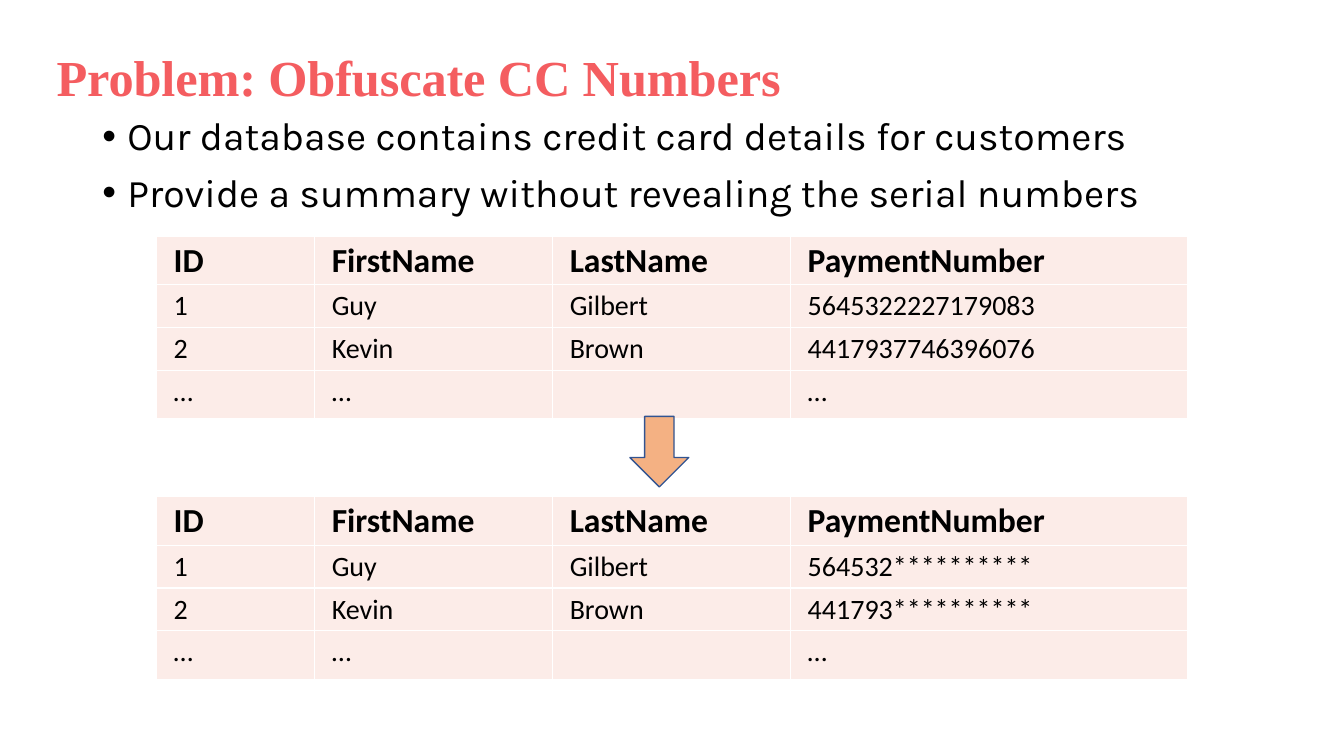
from dataclasses import dataclass

from lxml.etree import SubElement
from pptx import Presentation
from pptx.dml.color import RGBColor as Color
from pptx.enum.shapes import MSO_SHAPE as Preset
from pptx.enum.text import MSO_ANCHOR as Anchor
from pptx.oxml.ns import qn
from pptx.util import Pt


@dataclass(frozen=True)
class Theme:
    title_font: str = "Times New Roman"
    body_font: str = "Karla"
    table_font: str = "Calibri"
    title_size: int = 36
    body_size: int = 28
    header_size: int = 24
    cell_size: int = 20
    title_color: str = "F45D60"
    text_color: str = "000000"
    cell_fill: str = "FCECE8"
    border: str = "FFFFFF"
    arrow_fill: str = "F4B183"
    arrow_line: str = "325491"


class SlideBuilder:
    def __init__(self, page, theme):
        self.page = page
        self.theme = theme

    def add_span(self, para, text, font, size, color, bold=False):
        span = para.add_run()
        span.text = text
        span.font.name = font
        span.font.size = Pt(size)
        span.font.bold = bold
        span.font.color.rgb = Color.from_string(color)
        return span

    def text_box(self, left, top, width, height):
        box = self.page.shapes.add_textbox(Pt(left), Pt(top), Pt(width), Pt(height))
        box.text_frame.word_wrap = True
        return box.text_frame

    def title(self, text, *place):
        theme = self.theme
        frame = self.text_box(*place)
        frame.vertical_anchor = Anchor.BOTTOM
        span = self.add_span(frame.paragraphs[0], text, theme.title_font,
                             theme.title_size, theme.title_color, bold=True)
        span.font._element.set("spc", "-10")

    def bullets(self, lines, *place):
        theme = self.theme
        frame = self.text_box(*place)
        for index, line in enumerate(lines):
            para = frame.add_paragraph() if index else frame.paragraphs[0]
            para.line_spacing = 0.9
            para.space_before = Pt(10)
            properties = para._p.get_or_add_pPr()
            properties.set("marL", str(Pt(18)))
            properties.set("indent", str(Pt(-18)))
            SubElement(properties, qn("a:buFont"), typeface="Arial")
            SubElement(properties, qn("a:buChar"), char="•")
            self.add_span(para, line, theme.body_font, theme.body_size, theme.text_color)

    def table(self, rows, left, top, widths, heights):
        frame = self.page.shapes.add_table(
            len(rows), len(widths), Pt(left), Pt(top), Pt(sum(widths)), Pt(sum(heights)))
        table = frame.table
        table.first_row = table.horz_banding = False
        for column, width in zip(table.columns, widths):
            column.width = Pt(width)
        for row, height in zip(table.rows, heights):
            row.height = Pt(height)
        for row_index, values in enumerate(rows):
            for column_index, value in enumerate(values):
                self.fill_cell(table.cell(row_index, column_index), value, row_index == 0)

    def fill_cell(self, cell, value, header):
        theme = self.theme
        cell.margin_left = cell.margin_right = Pt(12.2)
        cell.margin_top = cell.margin_bottom = Pt(3.6)
        # Cell borders come before the fill in the XML
        properties = cell._tc.get_or_add_tcPr()
        for side in ("a:lnL", "a:lnR", "a:lnT", "a:lnB"):
            line = SubElement(properties, qn(side), w=str(Pt(1)))
            paint = SubElement(line, qn("a:solidFill"))
            SubElement(paint, qn("a:srgbClr"), val=theme.border)
        cell.fill.solid()
        cell.fill.fore_color.rgb = Color.from_string(theme.cell_fill)
        para = cell.text_frame.paragraphs[0]
        para.line_spacing = 0.95
        if value:
            size = theme.header_size if header else theme.cell_size
            self.add_span(para, value, theme.table_font, size, theme.text_color, header)

    def down_arrow(self, left, top, width, height):
        arrow = self.page.shapes.add_shape(
            Preset.DOWN_ARROW, Pt(left), Pt(top), Pt(width), Pt(height))
        arrow.shadow.inherit = False
        arrow.fill.solid()
        arrow.fill.fore_color.rgb = Color.from_string(self.theme.arrow_fill)
        arrow.line.color.rgb = Color.from_string(self.theme.arrow_line)
        arrow.line.width = Pt(1)


def customer_rows(payment_numbers):
    first, second = payment_numbers
    return [
        ("ID", "FirstName", "LastName", "PaymentNumber"),
        ("1", "Guy", "Gilbert", first),
        ("2", "Kevin", "Brown", second),
        ("…", "…", "", "…"),
    ]


def main():
    deck = Presentation()
    deck.slide_width, deck.slide_height = Pt(960), Pt(540)
    page = deck.slides.add_slide(deck.slide_layouts[6])
    builder = SlideBuilder(page, Theme())

    # Problem statement
    builder.bullets([
        "Our database contains credit card details for customers",
        "Provide a summary without revealing the serial numbers",
    ], 66, 80, 828, 343)

    # Customer tables before and after masking
    numbers = ("5645322227179083", "4417937746396076")
    masked = [number[:6] + "*" * len(number[6:]) for number in numbers]
    widths = (113, 170, 170, 283.5)
    heights = (34.6, 30.6, 30.6, 34.6)
    for payment_numbers, top in ((numbers, 168.8), (masked, 354.8)):
        builder.table(customer_rows(payment_numbers), 111.8, top, widths, heights)

    # Arrow between the tables
    builder.down_arrow(450, 297.4, 42, 50.4)

    # Title
    builder.title("Problem: Obfuscate CC Numbers", 33.4, 29, 770, 51)

    deck.save("out.pptx")


if __name__ == "__main__":
    main()
